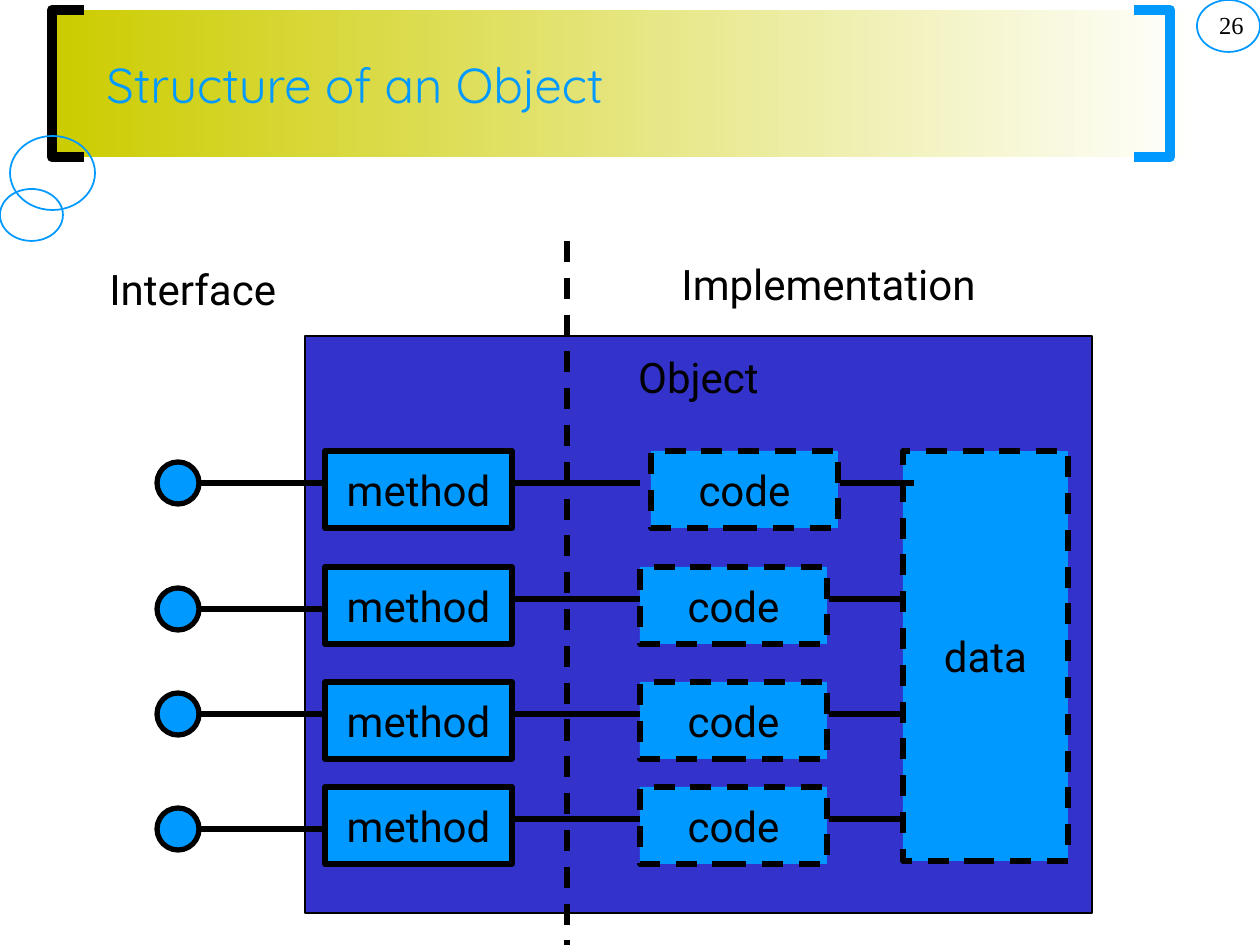
"""Build a slide that shows the structure of an object."""
import dataclasses

import pptx
import pptx.dml.color
import pptx.enum.dml
import pptx.enum.shapes
import pptx.enum.text
import pptx.oxml
import pptx.oxml.ns
import pptx.shapes.autoshape
import pptx.shapes.shapetree
import pptx.slide
import pptx.util

EMU_PER_PX = 914400 / 126
BLACK = pptx.dml.color.RGBColor(0x00, 0x00, 0x00)
WHITE = pptx.dml.color.RGBColor(0xFF, 0xFF, 0xFF)
AZURE = pptx.dml.color.RGBColor(0x00, 0x99, 0xFF)
INDIGO = pptx.dml.color.RGBColor(0x33, 0x33, 0xCC)
MUSTARD = pptx.dml.color.RGBColor(0xCC, 0xCC, 0x00)
RECTANGLE = pptx.enum.shapes.MSO_SHAPE.RECTANGLE
OVAL = pptx.enum.shapes.MSO_SHAPE.OVAL
DASH = pptx.enum.dml.MSO_LINE.DASH
TOP = pptx.enum.text.MSO_ANCHOR.TOP
MIDDLE = pptx.enum.text.MSO_ANCHOR.MIDDLE
LEFT = pptx.enum.text.PP_ALIGN.LEFT
CENTER = pptx.enum.text.PP_ALIGN.CENTER
RIGHT = pptx.enum.text.PP_ALIGN.RIGHT


@dataclasses.dataclass(frozen=True)
class Area:
    left: int
    top: int
    width: int
    height: int


@dataclasses.dataclass(frozen=True)
class Node:
    area: Area
    fill: pptx.dml.color.RGBColor | None = AZURE
    outline: pptx.dml.color.RGBColor = BLACK
    weight: float = 3
    dashed: bool = False
    text: str = ""
    kind: pptx.enum.shapes.MSO_SHAPE = RECTANGLE


@dataclasses.dataclass(frozen=True)
class Label:
    text: str
    area: Area
    size: int = 24
    font: str = "Roboto"
    color: pptx.dml.color.RGBColor = BLACK
    align: pptx.enum.text.PP_ALIGN = LEFT
    anchor: pptx.enum.text.MSO_ANCHOR = TOP


@dataclasses.dataclass(frozen=True)
class MethodRow:
    top: int
    code_left: int
    port_y: int


RINGS = [Area(10, 136, 85, 74), Area(0, 189, 63, 52), Area(1197, 0, 63, 52)]
BRACKETS = [
    ([(84, 157), (52, 157), (52, 10), (84, 10)], BLACK),
    ([(1134, 10), (1170, 10), (1170, 157), (1134, 157)], AZURE),
]
LABELS = [
    Label("26", Area(994, 4, 262, 63), 14, "Times New Roman", align=RIGHT),
    Label("Structure of an Object", Area(94, 10, 1071, 147), 28, "Quicksand", AZURE, anchor=MIDDLE),
    Label("Interface", Area(97, 257, 203, 63)),
    Label("Implementation", Area(669, 252, 344, 63)),
]
OBJECT = Node(Area(305, 336, 787, 577), INDIGO, weight=0.75, text="Object")
DATA = Node(Area(903, 451, 165, 410), dashed=True, text="data")
METHOD_ROWS = [
    MethodRow(451, 651, 483),
    MethodRow(567, 640, 609),
    MethodRow(682, 640, 714),
    MethodRow(787, 640, 829),
]
BOX_WIDTH, BOX_HEIGHT = 187, 77
METHOD_LEFT, METHOD_WIRE_LEFT, METHOD_WIRE_RIGHT = 325, 514, 640
PORT_LEFT, PORT_SIZE = 157, 42
WIRE_DROP, DATA_WIRE_GAP, DATA_WIRE_LENGTH = 32, 189, 74
DIVIDER_X, DIVIDER_TOP, DIVIDER_BOTTOM = 567, 241, 945


def px(length: float) -> pptx.util.Emu:
    return pptx.util.Emu(round(length * EMU_PER_PX))


def bounds(area: Area) -> tuple[pptx.util.Emu, ...]:
    return tuple(px(length) for length in dataclasses.astuple(area))


def write(frame: pptx.text.text.TextFrame, label: Label) -> None:
    frame.word_wrap = True
    frame.vertical_anchor = label.anchor
    paragraph = frame.paragraphs[0]
    paragraph.text = label.text
    paragraph.alignment = label.align
    paragraph.font.name = label.font
    paragraph.font.size = pptx.util.Pt(label.size)
    paragraph.font.color.rgb = label.color


def add_node(slide: pptx.slide.Slide, node: Node) -> pptx.shapes.autoshape.Shape:
    shape = slide.shapes.add_shape(node.kind, *bounds(node.area))
    shape.shadow.inherit = False
    if node.fill is None:
        shape.fill.background()
    else:
        shape.fill.solid()
        shape.fill.fore_color.rgb = node.fill
    shape.line.color.rgb = node.outline
    shape.line.width = pptx.util.Pt(node.weight)
    if node.dashed:
        shape.line.dash_style = DASH
    if node.text:
        write(shape.text_frame, Label(node.text, node.area, align=CENTER, anchor=MIDDLE))
    return shape


def add_label(slide: pptx.slide.Slide, label: Label) -> None:
    write(slide.shapes.add_textbox(*bounds(label.area)).text_frame, label)


def add_wire(
    slide: pptx.slide.Slide, start: tuple[int, int], end: tuple[int, int], dashed: bool = False
) -> None:
    wire = slide.shapes.add_connector(
        pptx.enum.shapes.MSO_CONNECTOR.STRAIGHT, *map(px, start + end)
    )
    wire.line.color.rgb = BLACK
    wire.line.width = pptx.util.Pt(3)
    if dashed:
        wire.line.dash_style = DASH
    properties = wire._element.spPr
    properties.append(properties.makeelement(pptx.oxml.ns.qn("a:effectLst"), {}))


def add_bracket(
    slide: pptx.slide.Slide, points: list[tuple[int, int]], color: pptx.dml.color.RGBColor
) -> None:
    builder = slide.shapes.build_freeform(*points[0], scale=EMU_PER_PX)
    builder.add_line_segments(points[1:], close=False)
    bracket = builder.convert_to_shape()
    bracket.shadow.inherit = False
    bracket.fill.background()
    bracket.line.color.rgb = color
    bracket.line.width = pptx.util.Pt(6)


def add_banner(slide: pptx.slide.Slide) -> None:
    banner = slide.shapes.add_shape(RECTANGLE, *bounds(Area(52, 10, 1149, 147)))
    banner.shadow.inherit = False
    banner.line.fill.background()
    banner.fill.gradient()
    banner.fill.gradient_angle = 0
    for stop, color, position in zip(banner.fill.gradient_stops, (MUSTARD, WHITE), (0, 1)):
        stop.color.rgb = color
        stop.position = position


def add_method_row(slide: pptx.slide.Slide, row: MethodRow) -> None:
    wire_y = row.top + WIRE_DROP
    data_wire_left = row.code_left + DATA_WIRE_GAP
    port_top = row.port_y - PORT_SIZE // 2
    add_node(slide, Node(Area(METHOD_LEFT, row.top, BOX_WIDTH, BOX_HEIGHT), text="method"))
    add_node(slide, Node(Area(row.code_left, row.top, BOX_WIDTH, BOX_HEIGHT), dashed=True, text="code"))
    add_wire(slide, (data_wire_left, wire_y), (data_wire_left + DATA_WIRE_LENGTH, wire_y))
    add_wire(slide, (METHOD_WIRE_LEFT, wire_y), (METHOD_WIRE_RIGHT, wire_y))
    add_wire(slide, (PORT_LEFT + PORT_SIZE, row.port_y), (METHOD_LEFT, row.port_y))
    add_node(slide, Node(Area(PORT_LEFT, port_top, PORT_SIZE, PORT_SIZE), kind=OVAL))


def main() -> None:
    deck = pptx.Presentation()
    deck.slide_width, deck.slide_height = px(1260), px(945)
    slide = deck.slides.add_slide(deck.slide_layouts[6])
    add_banner(slide)
    for points, color in BRACKETS:
        add_bracket(slide, points, color)
    for ring in RINGS:
        add_node(slide, Node(ring, None, AZURE, 1, kind=OVAL))
    object_frame = add_node(slide, OBJECT).text_frame
    object_frame.vertical_anchor = TOP
    object_frame.margin_top = px(16)
    add_node(slide, DATA)
    for row in METHOD_ROWS:
        add_method_row(slide, row)
    for label in LABELS:
        add_label(slide, label)
    add_wire(slide, (DIVIDER_X, DIVIDER_TOP), (DIVIDER_X, DIVIDER_BOTTOM), dashed=True)
    deck.save("out.pptx")


if __name__ == "__main__":
    main()
